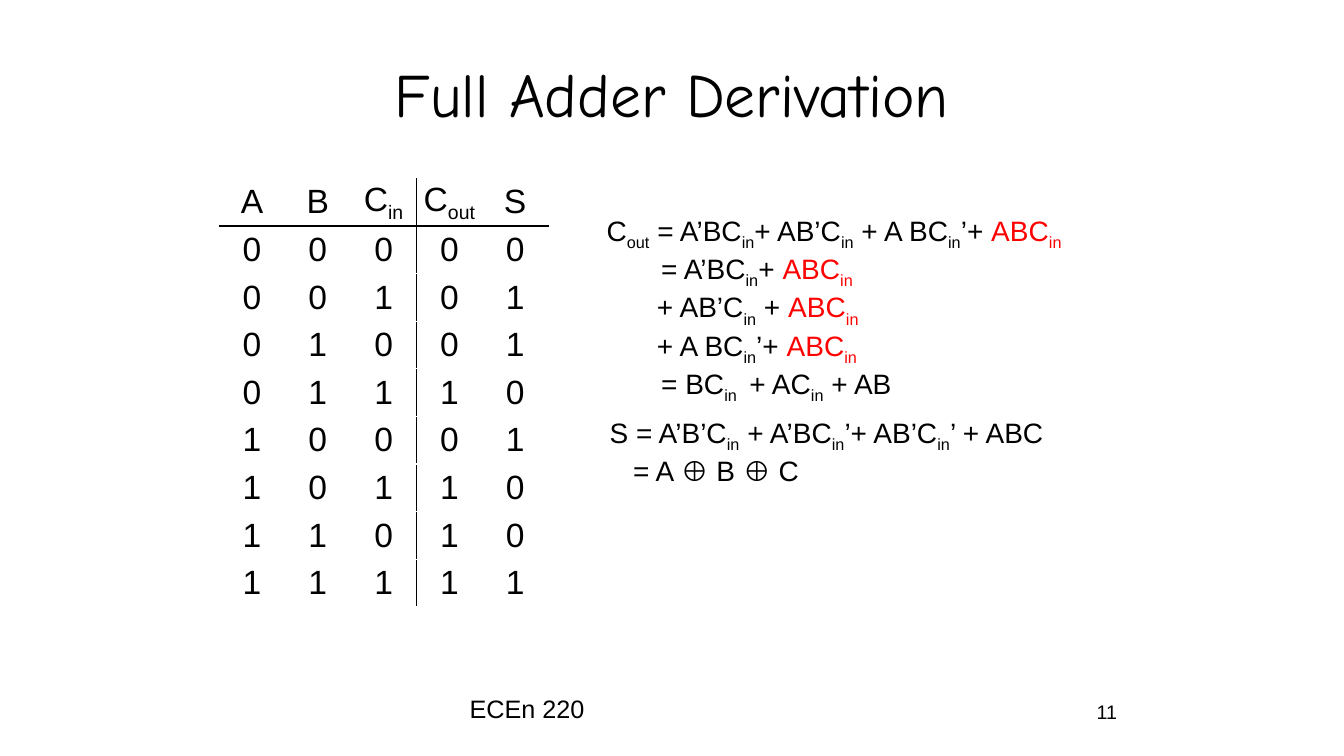
from dataclasses import dataclass
from itertools import product

from lxml import etree
from pptx import Presentation
from pptx.dml.color import RGBColor
from pptx.enum.text import MSO_ANCHOR, PP_ALIGN
from pptx.oxml.ns import qn
from pptx.util import Pt

MIDDLE = MSO_ANCHOR.MIDDLE
LEFT, CENTER, RIGHT = PP_ALIGN.LEFT, PP_ALIGN.CENTER, PP_ALIGN.RIGHT

COLORS = {"ink": "000000", "paper": "FFFFFF", "shared": "FF0000"}
TITLE_FONT, BODY_FONT = "Comic Neue", "Arial"
TITLE_LAYOUT = 5
SUBSCRIPT_MARK = "~"
SUBSCRIPT_BASELINE = "-25000"

HEADINGS = ("A", "B", "C~in~", "C~out~", "S")
INPUT_COUNT = 3
COLUMN_WIDTH, ROW_HEIGHT = 47, 34


@dataclass(frozen=True)
class Line:
    text: str
    shared_term: str = ""
    indent: float = 0


@dataclass(frozen=True)
class Block:
    left: float
    top: float
    width: float
    height: float
    size: float
    lines: tuple[Line, ...]
    align: PP_ALIGN = LEFT
    wrap: bool = True


BLOCKS = (
    Block(328.3, 491.8, 303.8, 37.4, 18, (Line("ECEn 220"),)),
    Block(666.7, 496.1, 138.2, 30.2, 14, (Line("11"),), RIGHT),
    Block(426.2, 149, 409, 128.2, 20, (
        Line("C~out~ = A’BC~in~+ AB’C~in~ + A BC~in~’+ ", "ABC~in~"),
        Line("= A’BC~in~+ ", "ABC~in~", 39),
        Line("+ AB’C~in~ + ", "ABC~in~", 36),
        Line("+ A BC~in~’+ ", "ABC~in~", 36),
        Line("= BC~in ~ + AC~in~ + AB", indent=39),
    )),
    Block(428.4, 293, 331.2, 55.4, 20, (
        Line("S = A’B’C~in~ + A’BC~in~’+ AB’C~in~’ + ABC"),
        Line("= A ⊕ B ⊕ C", indent=16.7),
    ), wrap=False),
)


def format_font(font, size: float, color: str, name: str = BODY_FONT) -> None:
    font.name = name
    font.size = Pt(size)
    font.color.rgb = RGBColor.from_string(COLORS[color])


def add_term(paragraph, term: str, size: float, color: str) -> None:
    for position, piece in enumerate(term.split(SUBSCRIPT_MARK)):
        if piece:
            run = paragraph.add_run()
            run.text = piece
            format_font(run.font, size, color)
            if position % 2:
                run.font._element.set("baseline", SUBSCRIPT_BASELINE)


def add_block(slide, block: Block) -> None:
    box = slide.shapes.add_textbox(
        Pt(block.left), Pt(block.top), Pt(block.width), Pt(block.height))
    frame = box.text_frame
    frame.word_wrap = block.wrap
    for position, line in enumerate(block.lines):
        paragraph = frame.add_paragraph() if position else frame.paragraphs[0]
        paragraph.alignment = block.align
        if line.indent:
            properties = paragraph._p.get_or_add_pPr()
            properties.set("marL", str(Pt(line.indent)))
            properties.set("indent", "0")
        add_term(paragraph, line.text, block.size, "ink")
        add_term(paragraph, line.shared_term, block.size, "shared")


def set_borders(cell, inked_sides: set[str]) -> None:
    properties = cell._tc.get_or_add_tcPr()
    for side in "LRTB":
        border = etree.SubElement(properties, qn(f"a:ln{side}"), w=str(Pt(1)))
        fill = etree.SubElement(border, qn("a:solidFill"))
        color = COLORS["ink" if side in inked_sides else "paper"]
        etree.SubElement(fill, qn("a:srgbClr"), val=color)


def add_truth_table(slide) -> None:
    rows = [HEADINGS]
    for bits in product((0, 1), repeat=INPUT_COUNT):
        carry, total = divmod(sum(bits), 2)
        rows.append(tuple(str(bit) for bit in (*bits, carry, total)))
    table = slide.shapes.add_table(
        len(rows), len(HEADINGS), Pt(156.5), Pt(127.5),
        Pt(COLUMN_WIDTH * len(HEADINGS)), Pt(ROW_HEIGHT * len(rows))).table
    table.first_row = table.horz_banding = False
    for row_index, row in enumerate(rows):
        for column_index, value in enumerate(row):
            cell = table.cell(row_index, column_index)
            cell.margin_left = cell.margin_right = 0
            cell.margin_top = cell.margin_bottom = 0
            cell.vertical_anchor = MIDDLE
            paragraph = cell.text_frame.paragraphs[0]
            paragraph.alignment = CENTER
            add_term(paragraph, value, 24, "ink")
            rules = {
                "R": column_index == INPUT_COUNT - 1,
                "L": column_index == INPUT_COUNT,
                "B": row_index == 0,
                "T": row_index == 1,
            }
            set_borders(cell, {side for side, inked in rules.items() if inked})
            cell.fill.background()


def add_title(slide) -> None:
    title = slide.shapes.title
    title.left, title.top = Pt(48), Pt(21.6)
    title.width, title.height = Pt(864), Pt(90)
    frame = title.text_frame
    frame.text = "Full Adder Derivation"
    frame.vertical_anchor = MIDDLE
    paragraph = frame.paragraphs[0]
    paragraph.alignment = CENTER
    format_font(paragraph.runs[0].font, 44, "ink", TITLE_FONT)


def main() -> None:
    presentation = Presentation()
    presentation.slide_width, presentation.slide_height = Pt(960), Pt(540)
    slide = presentation.slides.add_slide(
        presentation.slide_layouts[TITLE_LAYOUT])
    add_title(slide)
    add_truth_table(slide)
    for block in BLOCKS:
        add_block(slide, block)
    presentation.save("out.pptx")


if __name__ == "__main__":
    main()
